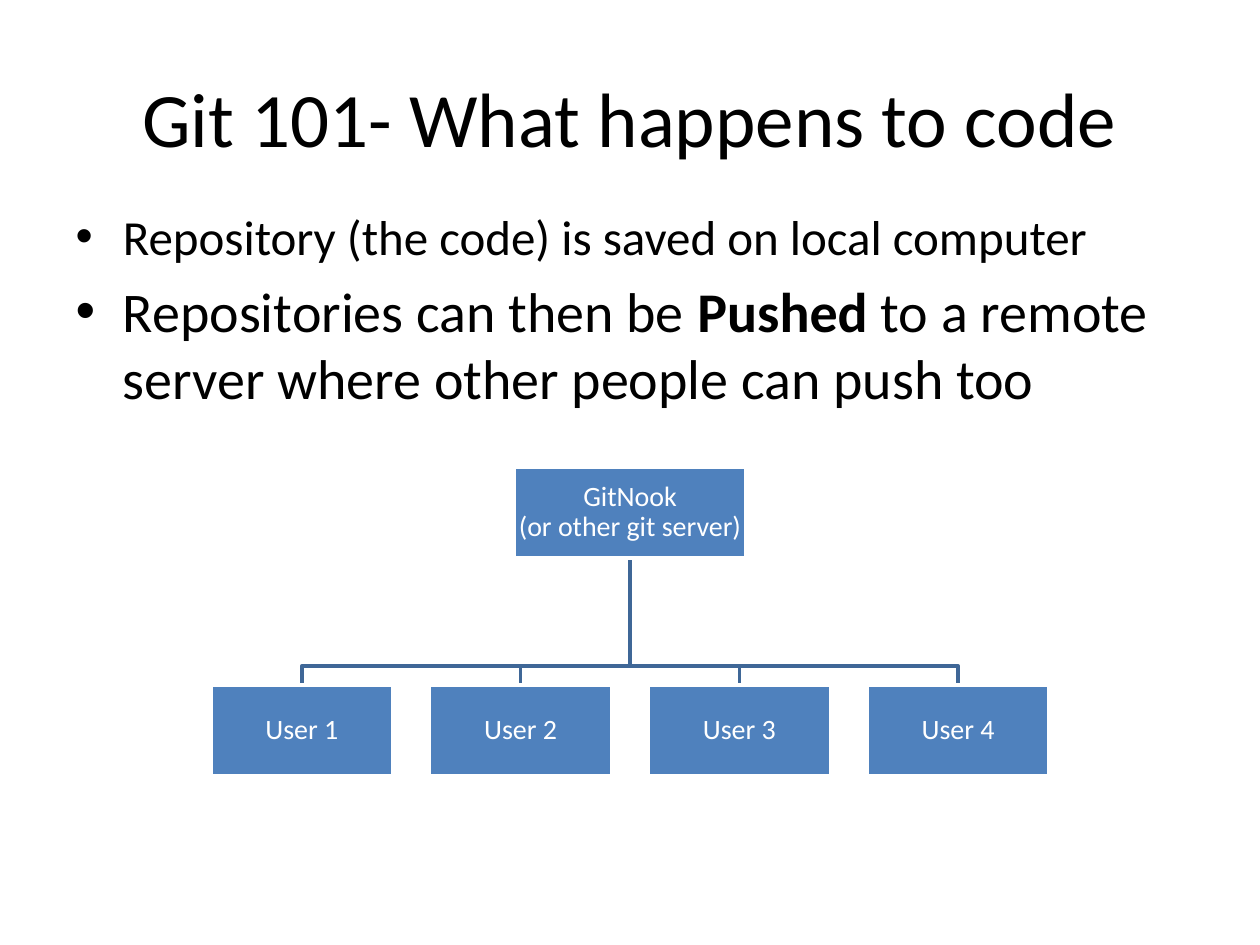
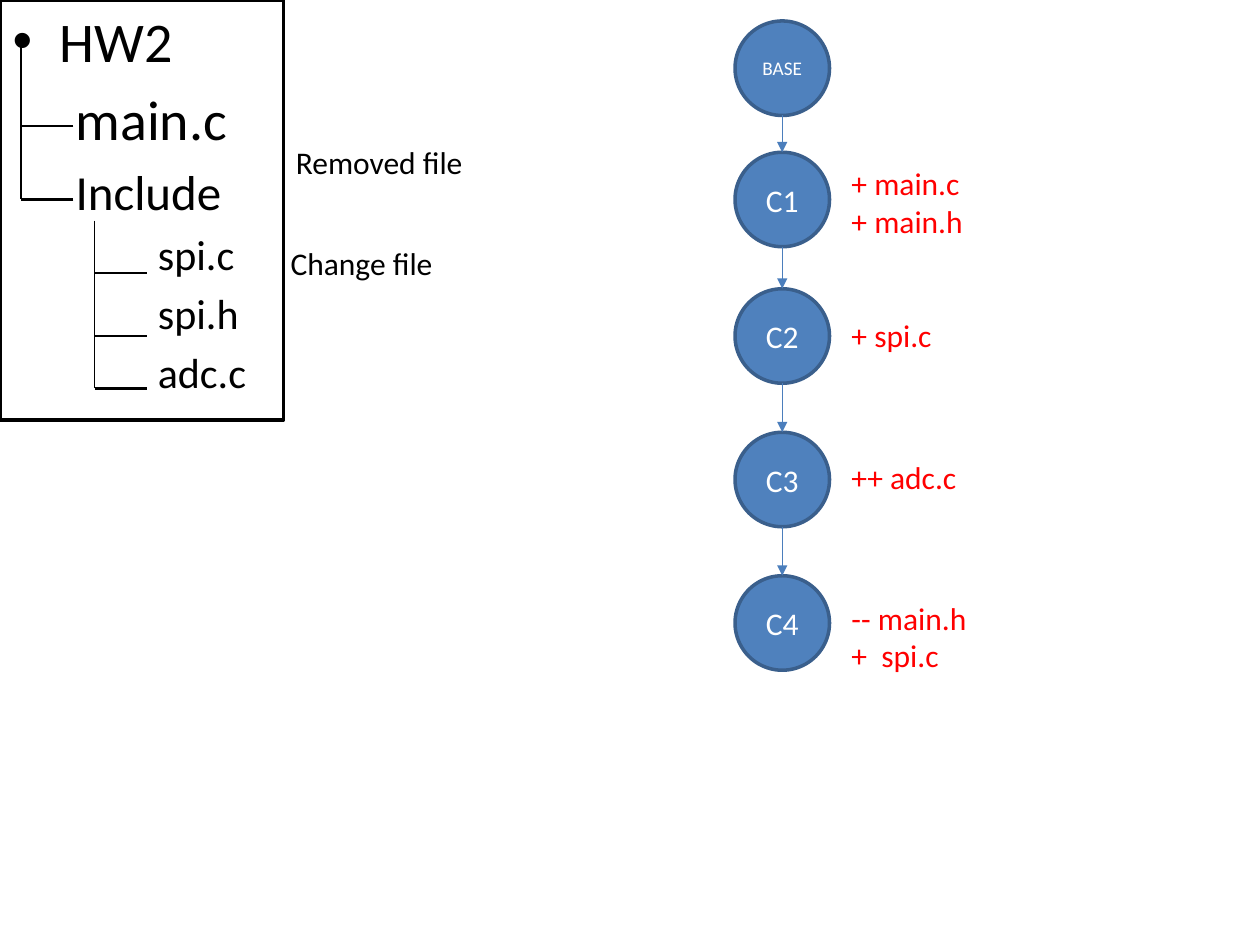
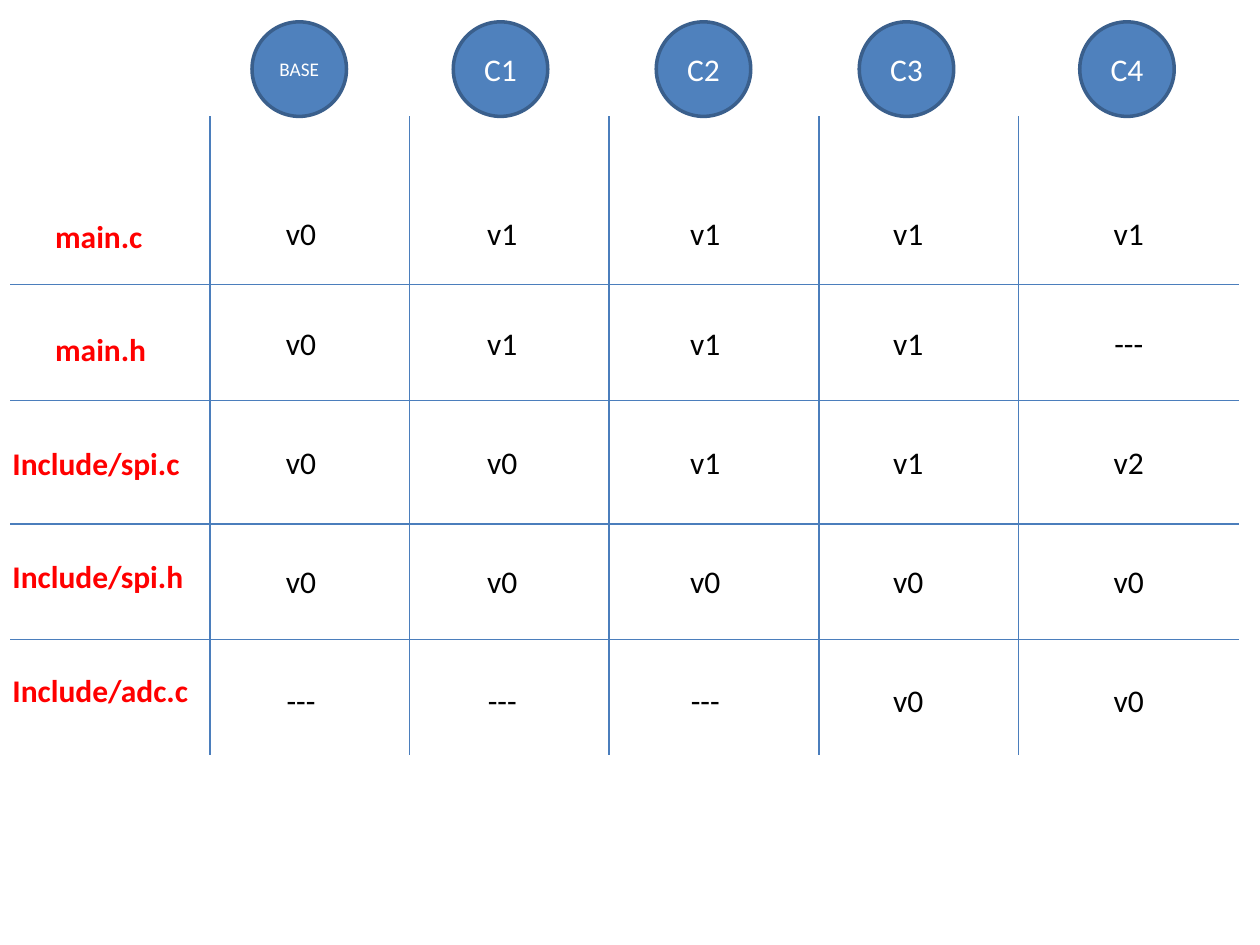
import lxml.etree
import pptx
import pptx.dml.color
import pptx.enum.shapes
import pptx.enum.text
import pptx.oxml.ns
import pptx.util

Pt = pptx.util.Pt
RGBColor = pptx.dml.color.RGBColor
SHAPE = pptx.enum.shapes.MSO_SHAPE
ALIGN = pptx.enum.text.PP_ALIGN
ANCHOR = pptx.enum.text.MSO_ANCHOR
AUTO_SIZE = pptx.enum.text.MSO_AUTO_SIZE
qn = pptx.oxml.ns.qn

BLACK = RGBColor(0x00, 0x00, 0x00)
WHITE = RGBColor(0xFF, 0xFF, 0xFF)
RED = RGBColor(0xFF, 0x00, 0x00)
BLUE = RGBColor(0x4F, 0x81, 0xBD)
RULE_BLUE = RGBColor(0x4B, 0x7E, 0xBC)
TREE_BLUE = RGBColor(0x3F, 0x67, 0x97)
RING_BLUE = RGBColor(0x3A, 0x5F, 0x8C)

FONT = "Calibri"
CIRCLE = 54
COMMITS = ["BASE", "C1", "C2", "C3", "C4"]


def apply(target, formats):
    """Set every attribute in formats on the target."""
    for name, value in formats.items():
        setattr(target, name, value)


def add_span(para, text, size, color=BLACK, bold=False):
    """Add one formatted run to a paragraph."""
    span = para.add_run()
    span.text = text
    apply(span.font, {"name": FONT, "size": Pt(size), "bold": bold})
    span.font.color.rgb = color


def indent(para, left, bulleted=False):
    """Set the left indent of a paragraph and drop its bullet."""
    properties = para._p.get_or_add_pPr()
    properties.set("marL", str(Pt(left)))
    properties.set("indent", "0")
    if not bulleted:
        lxml.etree.SubElement(properties, qn("a:buNone"))


def write_lines(frame, lines, size, color, formats, bold=False):
    """Write each line as a paragraph of the frame and return the paragraphs."""
    frame.word_wrap = True
    for number, line in enumerate(lines):
        para = frame.add_paragraph() if number else frame.paragraphs[0]
        apply(para, formats)
        add_span(para, line, size, color, bold)
    return frame.paragraphs


def add_label(page, left, top, width, height, lines, color=BLACK, align=ALIGN.LEFT, bold=False):
    """Add an 18-point text box and return its paragraphs."""
    box = page.shapes.add_textbox(Pt(left), Pt(top), Pt(width), Pt(height))
    return write_lines(box.text_frame, lines, 18, color, {"alignment": align}, bold)


def style_outline(shape, fill, line, width):
    """Give a shape its fill and line without a shadow."""
    shape.shadow.inherit = False
    if fill is None:
        shape.fill.background()
    else:
        shape.fill.solid()
        shape.fill.fore_color.rgb = fill
    shape.line.color.rgb = line
    shape.line.width = Pt(width)


def add_line(page, start, end, color=RULE_BLUE, width=0.75, arrow=False):
    """Draw a straight connector between two points."""
    line = page.shapes.add_connector(
        pptx.enum.shapes.MSO_CONNECTOR.STRAIGHT, *(Pt(value) for value in (*start, *end)))
    line.line.color.rgb = color
    line.line.width = Pt(width)
    properties = line.element.spPr
    if arrow:
        lxml.etree.SubElement(properties.find(qn("a:ln")), qn("a:tailEnd"), type="triangle")
    lxml.etree.SubElement(properties, qn("a:effectLst"))
    return line


def add_commit(page, left, top, name):
    """Draw one commit circle with its name."""
    circle = page.shapes.add_shape(
        SHAPE.FLOWCHART_CONNECTOR, Pt(left), Pt(top), Pt(CIRCLE), Pt(CIRCLE))
    style_outline(circle, BLUE, RING_BLUE, 2)
    circle.text_frame.vertical_anchor = ANCHOR.MIDDLE
    size = 11 if name == "BASE" else 18
    write_lines(circle.text_frame, [name], size, WHITE, {"alignment": ALIGN.CENTER})
    return circle


def place(shape, left, top, width, height):
    """Move and size a placeholder."""
    apply(shape, {"left": Pt(left), "top": Pt(top), "width": Pt(width), "height": Pt(height)})
    shape.text_frame.auto_size = AUTO_SIZE.NONE


def add_node(page, left, top, width, height, lines):
    """Draw one box of the server chart."""
    box = page.shapes.add_shape(SHAPE.RECTANGLE, Pt(left), Pt(top), Pt(width), Pt(height))
    style_outline(box, BLUE, WHITE, 2)
    margin = Pt(0.72)
    apply(box.text_frame, {
        "vertical_anchor": ANCHOR.MIDDLE, "margin_left": margin, "margin_right": margin,
        "margin_top": margin, "margin_bottom": margin})
    write_lines(box.text_frame, lines, 16, WHITE,
                {"alignment": ALIGN.CENTER, "line_spacing": 0.9})


def add_server_chart(page, left, top, width, server, users):
    """Draw the server above a row of users joined by elbow lines."""
    height, user_width, server_width, user_drop = 52, 104, 132, 124.5
    pitch = (width - user_width) / (len(users) - 1)
    center = left + width / 2
    server_bottom, user_top = top + height, top + user_drop
    bend = user_top - 11
    lefts = [left + pitch * column for column in range(len(users))]
    for user_left in reversed(lefts):
        user_center = user_left + user_width / 2
        builder = page.shapes.build_freeform(Pt(center), Pt(server_bottom))
        corners = [(center, bend), (user_center, bend), (user_center, user_top)]
        builder.add_line_segments([(Pt(x), Pt(y)) for x, y in corners], close=False)
        style_outline(builder.convert_to_shape(), None, TREE_BLUE, 2)
    add_node(page, center - server_width / 2, top, server_width, height, server)
    for user_left, user in zip(lefts, users):
        add_node(page, user_left, user_top, user_width, height, [user])


def build_push_slide(deck):
    """Build the slide on pushing code to a server."""
    page = deck.slides.add_slide(deck.slide_layouts[1])
    title, body = page.placeholders
    place(title, 36, 21.6, 648, 90)
    add_span(title.text_frame.paragraphs[0], "Git 101- What happens to code", 44)
    place(body, 36, 114.5, 648, 356.5)
    first = body.text_frame.paragraphs[0]
    add_span(first, "Repository (the code) is saved on local computer", 28)
    second = body.text_frame.add_paragraph()
    add_span(second, "Repositories can then be ", 32)
    add_span(second, "Pushed", 32, bold=True)
    add_span(second, " to a remote server where other people can push too", 32)
    add_server_chart(page, 120.5, 267, 479, ["GitNook", "(or other git server)"],
                     [f"User {number}" for number in range(1, 5)])


def add_file_tree(page, body, left, top):
    """Fill the framed file list and draw its branches."""
    place(body, left, top, 174, 306)
    entries = [("HW2", 0, 32, None), ("main.c", 0, 32, 36), ("Include", 1, 28, 36),
               ("spi.c", 2, 24, 83), ("spi.h", 2, 24, 83), ("adc.c", 2, 24, 83)]
    for number, (name, level, size, margin) in enumerate(entries):
        frame = body.text_frame
        para = frame.add_paragraph() if number else frame.paragraphs[0]
        para.level = level
        if margin is not None:
            indent(para, margin)
        add_span(para, name, size)
    border = page.shapes.add_shape(SHAPE.RECTANGLE, Pt(left), Pt(top), Pt(162), Pt(240))
    style_outline(border, None, BLACK, 2)
    for trunk, start, branches in [(12, 24, [72, 114]), (54, 126, [156, 192, 222])]:
        x = left + trunk
        add_line(page, (x, top + start), (x, top + branches[-1]), BLACK)
        for branch in branches:
            add_line(page, (x + 30, top + branch), (x, top + branch), BLACK, 1.5)


def add_history(page, left, top):
    """Draw the column of commits with the changes beside them."""
    drops = [0, 75, 153, 235, 317]
    changes = [(78, ["+ main.c", "+ main.h"]), (165, ["+ spi.c"]), (246, ["++ adc.c"]),
               (326.5, ["-- main.h", "+  spi.c"])]
    center = left + CIRCLE / 2
    for number, (name, drop) in enumerate(zip(COMMITS, drops)):
        circle = add_commit(page, left, top + drop, name)
        if number:
            arrow = add_line(page, (center, top + drops[number - 1] + CIRCLE),
                             (center, top + drop), arrow=True)
            arrow.end_connect(circle, 0)
    for drop, lines in changes:
        add_label(page, left + 59.5, top + drop, 119.5, 7 + 22 * len(lines), lines, RED)


def build_history_slide(deck):
    """Build the slide with the file tree and its commits."""
    page = deck.slides.add_slide(deck.slide_layouts[1])
    title, body = page.placeholders
    title.element.getparent().remove(title.element)
    add_file_tree(page, body, 0, 0)
    add_label(page, 162, 78, 119.5, 29, ["Removed file"])
    add_label(page, 159, 136, 119.5, 29, ["Change file"])
    add_history(page, 420, 12)


def add_version_grid(page, left, top, width, height):
    """Draw the version of each file at each commit."""
    files = ["main.c", "main.h", "Include/spi.c", "Include/spi.h", "Include/adc.c"]
    versions = [
        ["v0", "v1", "v1", "v1", "v1"],
        ["v0", "v1", "v1", "v1", "---"],
        ["v0", "v0", "v1", "v1", "v2"],
        ["v0", "v0", "v0", "v0", "v0"],
        ["---", "---", "---", "v0", "v0"],
    ]
    column_rules = [114, 228, 342, 462, 576]
    row_rules = [96, 162.5, 233, 299]
    column_centers = [166, 281, 397, 513, 639]
    row_tops = [52, 115, 183, 251, 319]
    for center, name in zip(column_centers, COMMITS):
        add_commit(page, left + center - CIRCLE / 2 - 1, top - CIRCLE, name)
    names = add_label(page, 0, top + 54, 162, 312.5, files, RED, bold=True)
    for number, para in enumerate(names):
        if number:
            para.space_before = Pt(43.2)
        if number < 2:
            indent(para, 24.4)
    for rule in column_rules:
        add_line(page, (left + rule, top), (left + rule, top + height))
    for rule in row_rules:
        add_line(page, (left + width, top + rule), (left, top + rule))
    for row_top, row in zip(row_tops, versions):
        for center, version in zip(column_centers, row):
            add_label(page, left + center - 30, top + row_top, 60, 29, [version],
                      align=ALIGN.CENTER)


def build_version_slide(deck):
    """Build the slide with the version grid."""
    page = deck.slides.add_slide(deck.slide_layouts[6])
    add_version_grid(page, 6, 66.5, 702, 365)


def main():
    """Build the deck and save it."""
    deck = pptx.Presentation()
    apply(deck, {"slide_width": Pt(720), "slide_height": Pt(540)})
    build_push_slide(deck)
    build_history_slide(deck)
    build_version_slide(deck)
    deck.save("out.pptx")


if __name__ == "__main__":
    main()
